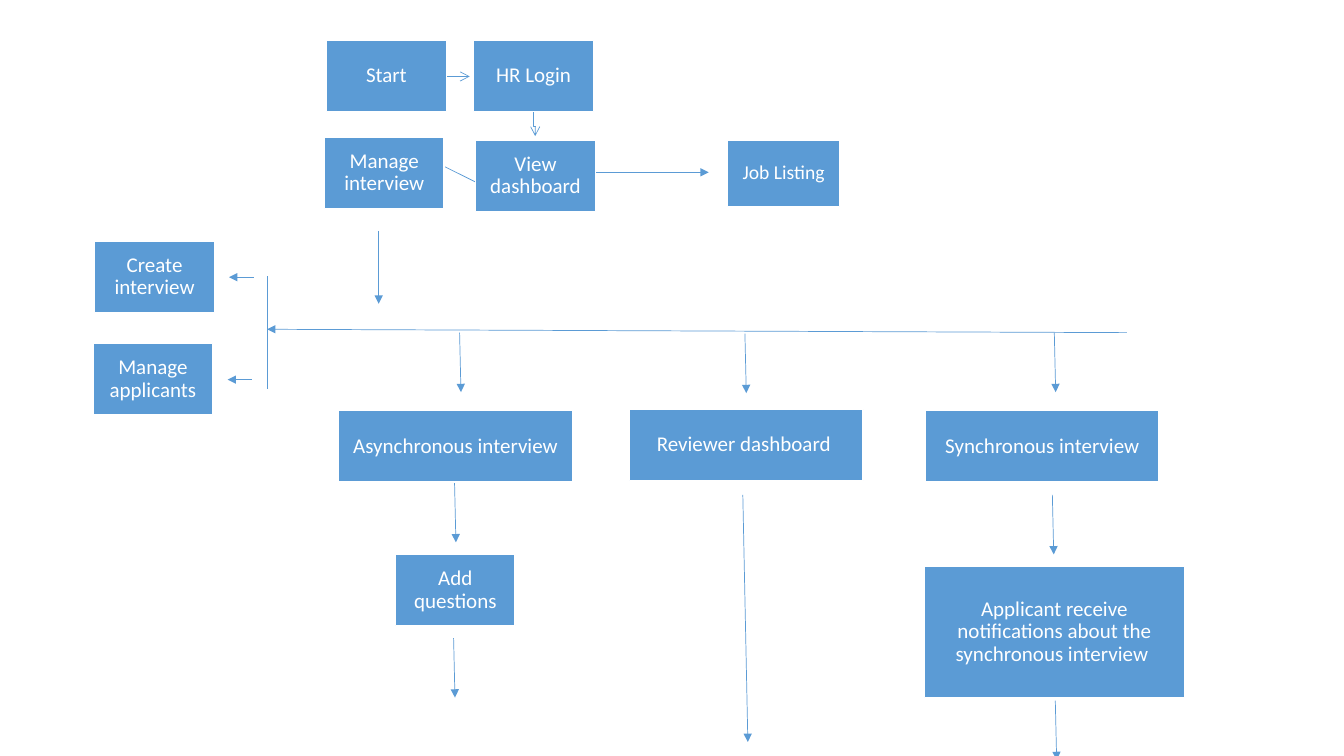
"""Build the interview platform flowchart slide."""
import dataclasses

import lxml.etree
import pptx
import pptx.dml.color
import pptx.enum.shapes
import pptx.enum.text
import pptx.oxml.ns
import pptx.shapes.shapetree
import pptx.util

Pt = pptx.util.Pt
BLUE = pptx.dml.color.RGBColor(0x5B, 0x9B, 0xD5)
WHITE = pptx.dml.color.RGBColor(0xFF, 0xFF, 0xFF)
FONT = "Calibri"
STEP_W, WIDE_W, BOX_H = 85.5, 167, 51
DROP_LENGTH, DROP_DRIFT = 42.5, 1


@dataclasses.dataclass
class Box:
    text: str
    left: float
    top: float
    width: float = STEP_W
    height: float = BOX_H
    size: float = 15
    inset: float = 8.5


@dataclasses.dataclass
class Link:
    points: list[tuple[float, float]]
    head: str | None = "triangle"


def drop(x: float, y: float) -> Link:
    """Return a short downward arrow starting at the given point."""
    return Link([(x, y), (x + DROP_DRIFT, y + DROP_LENGTH)])


BOXES = [
    Box("Start", 233.3, 28.8),
    Box("HR Login", 338.4, 28.8),
    Box("View dashboard", 339.8, 100.1),
    Box("Manage interview", 231.8, 97.9),
    Box("Job Listing", 519.8, 100.1, 79.9, 47.5, 14, 7.9),
    Box("Create interview", 67.7, 172.1),
    Box("Manage applicants", 66.5, 245.5),
    Box("Asynchronous interview", 241.9, 293.3, WIDE_W),
    Box("Reviewer dashboard ", 449.5, 292.3, WIDE_W),
    Box("Synchronous interview", 661, 293.3, WIDE_W),
    Box("Add questions", 282.5, 396),
    Box("Applicant receive notifications about the synchronous interview ",
        660.2, 404.8, 185.8, 93.6),
]

DROPS = [(328.3, 237.6), (532.1, 238.3), (753.1, 237.6), (324.7, 344.9),
         (324, 455.8), (751.7, 353.5), (753.8, 500.4)]

LINKS = [
    Link([(318.2, 54.6), (335.5, 54.6)], "arrow"),
    Link([(380.9, 80), (380.9, 90), (382.3, 90), (382.3, 97.2)], "arrow"),
    Link([(382.3, 151.2), (276.5, 98.6)], "arrow"),
    Link([(424.8, 123.1), (506.2, 123.1)]),
    Link([(270.5, 164.9), (270.5, 217)]),
    Link([(805, 237.6), (190.8, 235.2)]),
    Link([(190.8, 197.3), (190.8, 277.9)], None),
    Link([(181.4, 198), (163.6, 198)]),
    Link([(180, 271.2), (162.6, 271.2)]),
    Link([(530.6, 353.5), (534.2, 530)]),
] + [drop(x, y) for x, y in DROPS]


def draw_link(shapes: pptx.shapes.shapetree.SlideShapes, link: Link) -> None:
    """Draw a straight connector or an angled open path."""
    points = [(Pt(x), Pt(y)) for x, y in link.points]
    if len(points) == 2:
        sp = shapes.add_connector(
            pptx.enum.shapes.MSO_CONNECTOR.STRAIGHT, *points[0], *points[1])
    else:
        builder = shapes.build_freeform(*points[0])
        builder.add_line_segments(points[1:], close=False)
        sp = builder.convert_to_shape()
        sp.fill.background()
    sp.line.color.rgb = BLUE
    sp.line.width = Pt(0.5)
    qn = pptx.oxml.ns.qn
    if link.head:
        ln = sp.line._get_or_add_ln()
        lxml.etree.SubElement(ln, qn("a:tailEnd"), type=link.head)
    lxml.etree.SubElement(sp._element.spPr, qn("a:effectLst"))


def draw_box(shapes: pptx.shapes.shapetree.SlideShapes, box: Box) -> None:
    """Draw a filled step with its centred label."""
    sp = shapes.add_shape(
        pptx.enum.shapes.MSO_SHAPE.RECTANGLE,
        Pt(box.left), Pt(box.top), Pt(box.width), Pt(box.height))
    sp.shadow.inherit = False
    sp.fill.solid()
    sp.fill.fore_color.rgb = BLUE
    sp.line.color.rgb = WHITE
    sp.line.width = Pt(1)
    tf = sp.text_frame
    tf.word_wrap = True
    tf.vertical_anchor = pptx.enum.text.MSO_ANCHOR.MIDDLE
    tf.margin_left = tf.margin_right = Pt(box.inset)
    tf.margin_top = tf.margin_bottom = Pt(box.inset)
    p = tf.paragraphs[0]
    p.alignment = pptx.enum.text.PP_ALIGN.CENTER
    p.line_spacing = 0.9
    r = p.add_run()
    r.text = box.text
    r.font.name = FONT
    r.font.size = Pt(box.size)
    r.font.color.rgb = WHITE


def main() -> None:
    """Create and save the presentation."""
    prs = pptx.Presentation()
    prs.slide_width, prs.slide_height = Pt(960), Pt(540)
    s = prs.slides.add_slide(prs.slide_layouts.get_by_name("Blank"))
    for link in LINKS:
        draw_link(s.shapes, link)
    for box in BOXES:
        draw_box(s.shapes, box)
    prs.save("out.pptx")


main()
